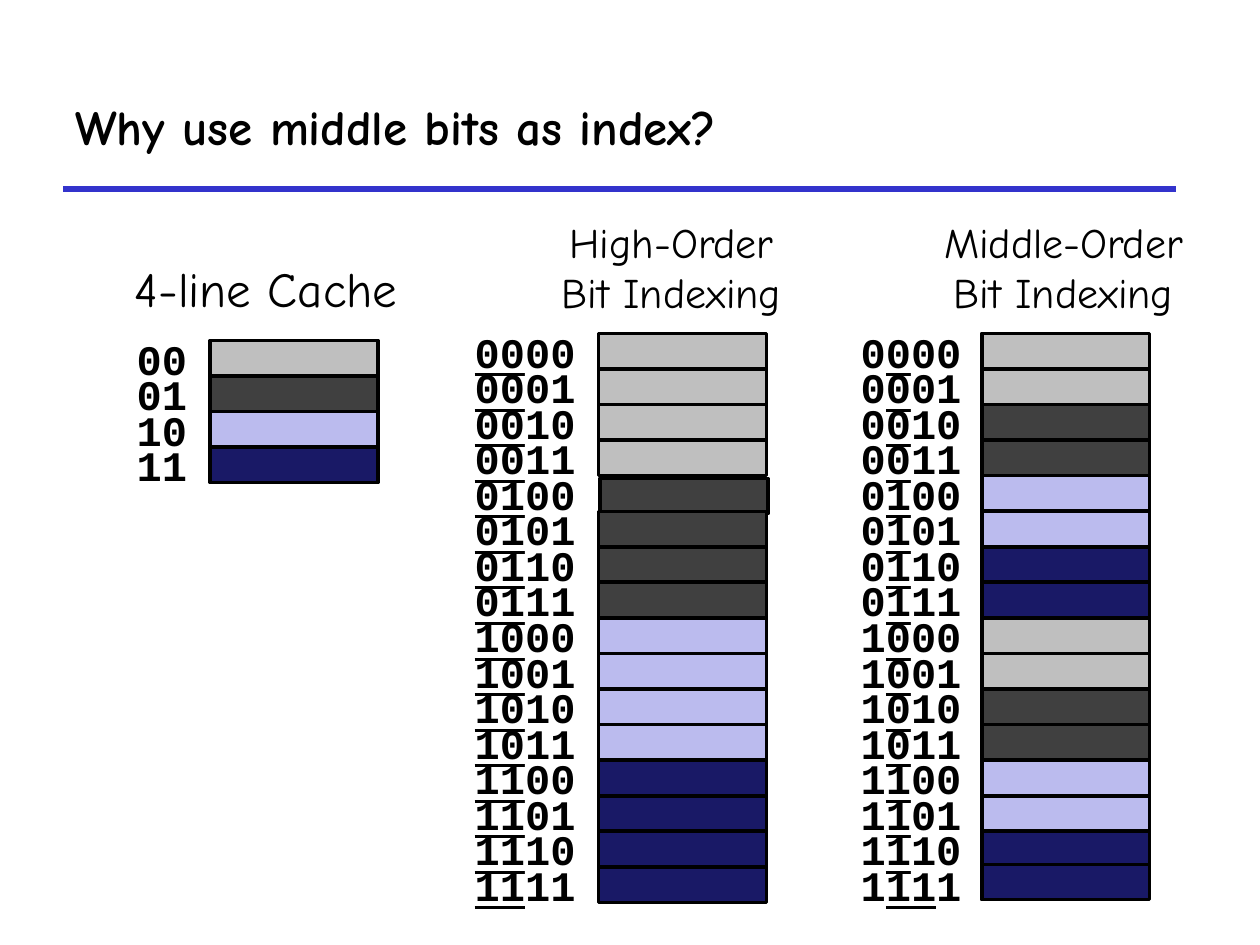
from lxml.etree import SubElement
from pptx import Presentation
from pptx.dml.color import RGBColor
from pptx.enum.shapes import MSO_CONNECTOR, MSO_SHAPE
from pptx.enum.text import MSO_ANCHOR, PP_ALIGN
from pptx.oxml.ns import qn
from pptx.util import Pt

BLACK = RGBColor(0x00, 0x00, 0x00)
WHITE = RGBColor(0xFF, 0xFF, 0xFF)
BLUE = RGBColor(0x33, 0x33, 0xCC)
GRAY = RGBColor(0x80, 0x80, 0x80)
CHARCOAL = RGBColor(0x40, 0x40, 0x40)
LAVENDER = RGBColor(0x78, 0x78, 0xDE)
NAVY = RGBColor(0x19, 0x19, 0x66)

SET_COLORS = [GRAY, CHARCOAL, LAVENDER, NAVY]
TRANSLUCENT = {GRAY, LAVENDER}


def write_text(text_frame, text, *, font, size, bold=False,
               alignment=PP_ALIGN.LEFT, underline=(0, 0)):
    start, end = underline
    for index, line in enumerate(text.split("\n")):
        paragraph = text_frame.paragraphs[0] if index == 0 else text_frame.add_paragraph()
        paragraph.alignment = alignment
        parts = [(line[:start], False), (line[start:end], True), (line[end:], False)]
        for part, underlined in parts:
            if part:
                run = paragraph.add_run()
                run.text = part
                run.font.name = font
                run.font.size = Pt(size)
                run.font.bold = bold
                run.font.underline = underlined
                run.font.color.rgb = BLACK


class CacheSlide:
    heading_font = "Comic Neue"
    bit_font = "Courier New"
    row_pitch = 20.32
    cell_width = 96
    cell_height = 20.25
    label_width = 36

    def __init__(self, slide):
        self.slide = slide

    def rule(self, left, top, right):
        line = self.slide.shapes.add_connector(
            MSO_CONNECTOR.STRAIGHT, Pt(left), Pt(top), Pt(right), Pt(top))
        line.line.color.rgb = BLUE
        line.line.width = Pt(3)
        SubElement(line._element.spPr, qn("a:effectLst"))

    def heading(self, text, left, top, width, height, size,
                bold=False, wrap=False, anchor=MSO_ANCHOR.TOP,
                alignment=PP_ALIGN.CENTER):
        box = self.slide.shapes.add_textbox(Pt(left), Pt(top), Pt(width), Pt(height))
        box.text_frame.word_wrap = wrap
        box.text_frame.vertical_anchor = anchor
        write_text(box.text_frame, text, font=self.heading_font, size=size,
                   bold=bold, alignment=alignment)

    def rectangle(self, left, top, width, color):
        shape = self.slide.shapes.add_shape(
            MSO_SHAPE.RECTANGLE, Pt(left), Pt(top), Pt(width), Pt(self.cell_height))
        shape.shadow.inherit = False
        shape.fill.solid()
        shape.fill.fore_color.rgb = color
        return shape

    def cell(self, left, top, color):
        shape = self.rectangle(left, top, self.cell_width, color)
        shape.line.color.rgb = BLACK
        shape.line.width = Pt(2)
        if color in TRANSLUCENT:
            fill_color = shape._element.spPr.find(qn("a:solidFill"))[0]
            SubElement(fill_color, qn("a:alpha"), val="50000")

    def label(self, text, left, top, underline):
        shape = self.rectangle(left, top, self.label_width, WHITE)
        shape.line.fill.background()
        shape.text_frame.word_wrap = False
        shape.text_frame.vertical_anchor = MSO_ANCHOR.MIDDLE
        write_text(shape.text_frame, text, font=self.bit_font, size=24, bold=True,
                   alignment=PP_ALIGN.RIGHT, underline=underline)

    def memory(self, cell_left, label_left, top, bits, index_bits,
               underlined=True, nudges=None):
        start, end = index_bits
        for row in range(2 ** bits):
            address = f"{row:0{bits}b}"
            row_top = top + row * self.row_pitch
            shift_x, shift_y = (nudges or {}).get(row, (0, 0))
            color = SET_COLORS[int(address[start:end], 2)]
            self.cell(cell_left + shift_x, row_top + shift_y, color)
            self.label(address, label_left, row_top,
                       index_bits if underlined else (0, 0))


def main():
    presentation = Presentation()
    presentation.slide_width = Pt(720)
    presentation.slide_height = Pt(540)
    page = CacheSlide(presentation.slides.add_slide(presentation.slide_layouts[6]))

    page.rule(36, 108, 672)
    page.heading("Why use middle bits as index?", 36, 36, 636, 72, 28, bold=True,
                 wrap=True, anchor=MSO_ANCHOR.MIDDLE, alignment=PP_ALIGN.LEFT)

    page.heading("4-line Cache", 64, 144, 176, 41, 28)
    page.memory(120, 78, 194.6, 2, (0, 2), underlined=False)

    page.heading("High-Order\nBit Indexing", 306, 120, 155.5, 65.5, 24)
    page.memory(342, 300, 190.6, 4, (0, 2), nudges={4: (0.75, 1.5)})

    page.heading("Middle-Order\nBit Indexing", 522, 120, 171.5, 65.5, 24)
    page.memory(561, 520.5, 190.6, 4, (1, 3), nudges={15: (0, -1.5)})

    presentation.save("out.pptx")


if __name__ == "__main__":
    main()
